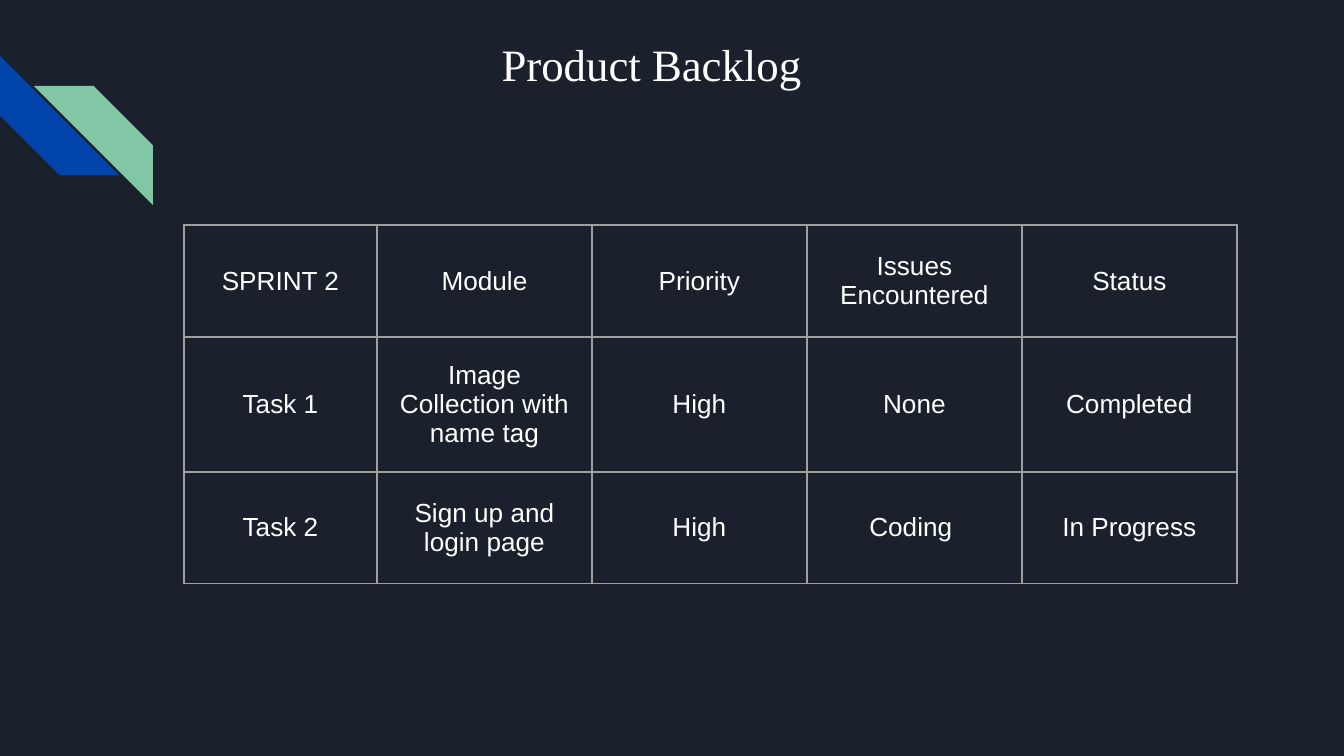
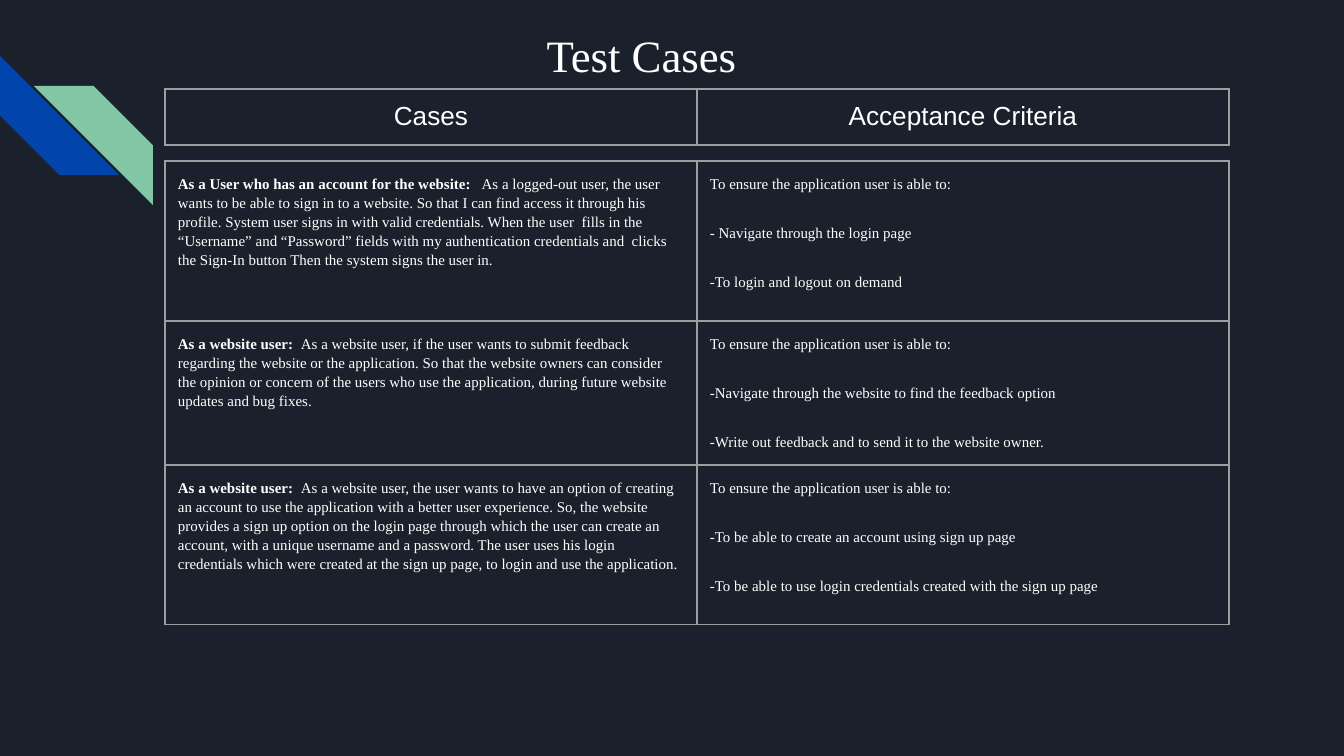
from typing import NamedTuple

from lxml import etree
from pptx import Presentation
from pptx import util as u
from pptx.dml.color import RGBColor
from pptx.enum import shapes, text
from pptx.oxml import ns

# Shared look
NIGHT = RGBColor(0x1B, 0x21, 0x2C)
BLUE = RGBColor(0x01, 0x45, 0xAC)
GREEN = RGBColor(0x82, 0xC7, 0xA5)
WHITE = RGBColor(0xFF, 0xFF, 0xFF)
GREY = RGBColor(0x9E, 0x9E, 0x9E)
SERIF, SANS = "Times New Roman", "Arial"
PAGE_WIDTH, PAGE_HEIGHT = 1344, 756
EMU_PER_PX = 9144000 / PAGE_WIDTH
TITLE_ONLY = 5
INSET = 13


class Box(NamedTuple):
    left: int
    top: int
    width: int
    height: int


class Stripe(NamedTuple):
    box: Box
    color: RGBColor
    rotation: int
    mirrored: bool


class Grid(NamedTuple):
    left: int
    top: int
    columns: list[int]
    rows: list[int]


class Case(NamedTuple):
    role: str
    story: str
    criteria: list[str]


STRIPES = [
    Stripe(Box(0, 56, 119, 119), BLUE, 270, False),
    Stripe(Box(34, 86, 119, 119), GREEN, 0, True),
]

# Product backlog content
BACKLOG_GRID = Grid(184, 225, [193] + [215] * 4, [112, 135, 112])
BACKLOG = [
    ["SPRINT 2", "Module", "Priority", "Issues Encountered", "Status"],
    ["Task 1", "Image Collection with name tag", "High", "None", "Completed"],
    ["Task 2", "Sign up and login page", "High", "Coding ", "In Progress"],
]

# Test case content
CASE_COLUMNS = [532, 532]
HEADER_GRID = Grid(165, 89, CASE_COLUMNS, [56])
CASE_GRID = Grid(165, 161, CASE_COLUMNS, [160, 144, 160])
CASE_HEADER = ["Cases", "Acceptance Criteria"]
GOAL = "To ensure the application user is able to:"
CASES = [
    Case(
        "As a User who has an account for the website: ",
        "  As a logged-out user, the user wants to be able to sign in to a website. "
        "So that I can find access it through his profile. System user signs in with "
        "valid credentials. When the user  fills in the “Username” and “Password” "
        "fields with my authentication credentials and  clicks the Sign-In button "
        "Then the system signs the user in.",
        ["- Navigate through the login page", "-To login and logout on demand"],
    ),
    Case(
        "As a website user:  ",
        "As a website user, if the user wants to submit feedback regarding the website "
        "or the application. So that the website owners can consider the opinion or "
        "concern of the users who use the application, during future website updates "
        "and bug fixes.",
        ["-Navigate through the website to find the feedback option",
         "-Write out feedback and to send it to the website owner."],
    ),
    Case(
        "As a website user:  ",
        "As a website user, the user wants to have an option of creating an account to "
        "use the application with a better user experience. So, the website provides a "
        "sign up option on the login page through which the user can create an account, "
        "with a unique username and a password. The user uses his login credentials "
        "which were created at the sign up page, to login and use the application.",
        ["-To be able to create an account using sign up page",
         "-To be able to use login credentials created with the sign up page"],
    ),
]


def px(length: int) -> u.Emu:
    return u.Emu(round(length * EMU_PER_PX))


def style(span, size: int, font: str, bold: bool = False) -> None:
    span.font.size = u.Pt(size)
    span.font.name = font
    span.font.bold = bold
    span.font.color.rgb = WHITE


def set_insets(target) -> None:
    target.margin_left = target.margin_right = px(INSET)
    target.margin_top = target.margin_bottom = px(INSET)


# Page with the corner stripes and a title
def add_page(deck, title: str, box: Box):
    page = deck.slides.add_slide(deck.slide_layouts[TITLE_ONLY])
    for stripe in STRIPES:
        add_stripe(page, stripe)
    holder = page.shapes.title
    holder.left, holder.top, holder.width, holder.height = map(px, box)
    frame = holder.text_frame
    frame.text = title
    frame.word_wrap = True
    frame.auto_size = text.MSO_AUTO_SIZE.NONE
    frame.vertical_anchor = text.MSO_ANCHOR.TOP
    set_insets(frame)
    para = frame.paragraphs[0]
    para.alignment = text.PP_ALIGN.CENTER
    para.line_spacing = 1.0
    para.space_before = u.Pt(0)
    style(para.runs[0], 24, SERIF)
    return page


def add_stripe(page, stripe: Stripe) -> None:
    shape = page.shapes.add_shape(
        shapes.MSO_SHAPE.DIAGONAL_STRIPE, *map(px, stripe.box))
    shape.adjustments[0] = 0.5
    shape.rotation = stripe.rotation
    shape.shadow.inherit = False
    shape.fill.solid()
    shape.fill.fore_color.rgb = stripe.color
    shape.line.fill.background()
    if stripe.mirrored:
        shape._element.spPr.xfrm.set("flipH", "1")


# Tables with thin grey rules and no fill
def add_grid(page, grid: Grid):
    frame = page.shapes.add_table(
        len(grid.rows), len(grid.columns), px(grid.left), px(grid.top),
        px(sum(grid.columns)), px(sum(grid.rows)))
    table = frame.table
    table.first_row = table.horz_banding = False
    for column, width in zip(table.columns, grid.columns):
        column.width = px(width)
    for row, height in zip(table.rows, grid.rows):
        row.height = px(height)
    for cell in table.iter_cells():
        cell.fill.background()
        set_insets(cell)
        add_borders(cell)
    return table


def add_borders(cell) -> None:
    properties = cell._tc.get_or_add_tcPr()
    for index, side in enumerate(("a:lnL", "a:lnR", "a:lnT", "a:lnB")):
        line = etree.Element(ns.qn(side), w=str(u.Pt(0.75)))
        fill = etree.SubElement(line, ns.qn("a:solidFill"))
        etree.SubElement(fill, ns.qn("a:srgbClr"), val=str(GREY))
        properties.insert(index, line)


def fill_centred(table, rows: list[list[str]], anchor: text.MSO_ANCHOR) -> None:
    for cell, words in zip(table.iter_cells(), sum(rows, [])):
        cell.text_frame.text = words
        cell.vertical_anchor = anchor
        para = cell.text_frame.paragraphs[0]
        para.alignment = text.PP_ALIGN.CENTER
        style(para.runs[0], 14, SANS)


def fill_case(story_cell, criteria_cell, case: Case) -> None:
    para = story_cell.text_frame.paragraphs[0]
    para.line_spacing = 1.15
    for words, bold in ((case.role, True), (case.story, False)):
        span = para.add_run()
        span.text = words
        style(span, 8, SERIF, bold)

    frame = criteria_cell.text_frame
    frame.text = "\n".join([GOAL, *case.criteria])
    for index, para in enumerate(frame.paragraphs):
        para.line_spacing = 1.15
        para.space_before = u.Pt(16 if index else 0)
        style(para.runs[0], 8, SERIF)


def build_backlog(deck) -> None:
    page = add_page(deck, "Product Backlog", Box(134, 24, 1035, 134))
    fill_centred(add_grid(page, BACKLOG_GRID), BACKLOG, text.MSO_ANCHOR.MIDDLE)


def build_test_cases(deck) -> None:
    page = add_page(deck, "Test Cases", Box(213, 15, 857, 74))
    fill_centred(add_grid(page, HEADER_GRID), [CASE_HEADER], text.MSO_ANCHOR.TOP)
    table = add_grid(page, CASE_GRID)
    for index, case in enumerate(CASES):
        fill_case(table.cell(index, 0), table.cell(index, 1), case)


def main() -> None:
    deck = Presentation()
    deck.slide_width, deck.slide_height = px(PAGE_WIDTH), px(PAGE_HEIGHT)
    backdrop = deck.slide_master.background.fill
    backdrop.solid()
    backdrop.fore_color.rgb = NIGHT
    build_backlog(deck)
    build_test_cases(deck)
    deck.save("out.pptx")


if __name__ == "__main__":
    main()
